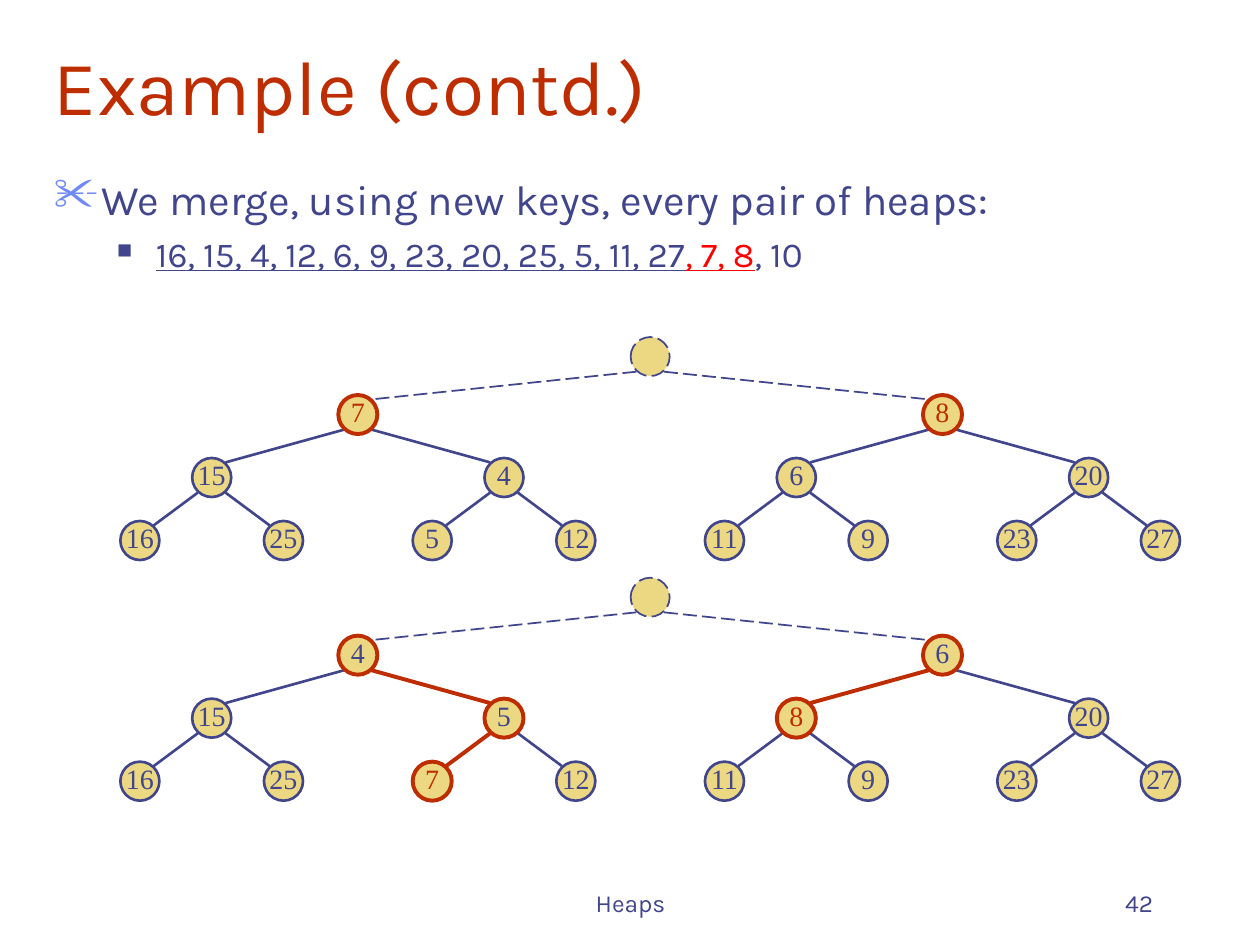
import pptx
import pptx.util
import pptx.dml.color
import pptx.enum.dml
import pptx.enum.shapes
import pptx.enum.text
import pptx.oxml
import pptx.oxml.ns
from lxml import etree
from pptx.util import Inches, Pt

NAVY, RUST, RED, SAND = "40458C", "BE2D00", "FF0000", "ECD882"
ALIGN = pptx.enum.text.PP_ALIGN
ANCHOR = pptx.enum.text.MSO_ANCHOR
qn = pptx.oxml.ns.qn


def rgb(color):
    return pptx.dml.color.RGBColor.from_string(color)


def add_run(paragraph, text, size, color, font="Karla", underline=None):
    run = paragraph.add_run()
    run.text = text
    run.font.size = Pt(size)
    run.font.name = font
    run.font.color.rgb = rgb(color)
    run.font.underline = underline


deck = pptx.Presentation()
deck.slide_width, deck.slide_height = Inches(10), Inches(7.5)
slide = deck.slides.add_slide(deck.slide_layouts[6])

# Title, footer and page number
for left, top, width, height, text, size, color, align in (
    (0.33, 0.17, 9.5, 0.92, "Example (contd.)", 44, RUST, ALIGN.LEFT),
    (3.42, 6.83, 3.17, 0.5, "Heaps", 14, NAVY, ALIGN.CENTER),
    (7.17, 6.83, 2.08, 0.5, "42", 14, NAVY, ALIGN.RIGHT),
):
    frame = slide.shapes.add_textbox(
        Inches(left), Inches(top), Inches(width), Inches(height)).text_frame
    frame.word_wrap = True
    frame.vertical_anchor = ANCHOR.BOTTOM
    frame.paragraphs[0].alignment = align
    add_run(frame.paragraphs[0], text, size, color)

# Two heaps in array order: the children of node i are 2i and 2i + 1
ROOT_X, RADIUS = 5.16, 0.155
LEVEL_DROPS = (0, 0.46, 0.96, 1.46)
CHILD_OFFSETS = (2.32, 1.16, 0.57)
EDGE_DX, EDGE_DY = 0.11, 0.12
NEW_KEYS = (7, 8)

for root_y, keys, marked in (
    (2.83, ("", 7, 8, 15, 4, 6, 20, 16, 25, 5, 12, 11, 9, 23, 27), {2, 3}),
    (4.74, ("", 4, 6, 15, 5, 8, 20, 16, 25, 7, 12, 11, 9, 23, 27), {2, 3, 5, 6, 10}),
):
    centers = {1: (ROOT_X, root_y)}
    for child in range(2, len(keys) + 1):
        parent = child // 2
        side = 1 if child % 2 else -1
        level = child.bit_length() - 1
        parent_x, parent_y = centers[parent]
        x = parent_x + side * CHILD_OFFSETS[level - 1]
        y = root_y + LEVEL_DROPS[level]
        centers[child] = (x, y)

        edge = slide.shapes.add_connector(
            pptx.enum.shapes.MSO_CONNECTOR.STRAIGHT,
            Inches(parent_x + side * EDGE_DX), Inches(parent_y + EDGE_DY),
            Inches(x - side * EDGE_DX), Inches(y - EDGE_DY))
        on_path = parent in marked and child in marked
        edge.line.color.rgb = rgb(RUST if on_path else NAVY)
        edge.line.width = Pt(2.25 if on_path else 1.5)
        if parent == 1:
            edge.line.width = Pt(1)
            edge.line.dash_style = pptx.enum.dml.MSO_LINE.LONG_DASH
        etree.SubElement(edge._element.spPr, qn("a:effectLst"))

    for index, key in enumerate(keys, start=1):
        x, y = centers[index]
        node = slide.shapes.add_shape(
            pptx.enum.shapes.MSO_SHAPE.OVAL, Inches(x - RADIUS), Inches(y - RADIUS),
            Inches(2 * RADIUS), Inches(2 * RADIUS))
        node.shadow.inherit = False
        node.fill.solid()
        node.fill.fore_color.rgb = rgb(SAND)
        node.line.color.rgb = rgb(RUST if index in marked else NAVY)
        node.line.width = Pt(2.25 if index in marked else 1.5)
        if index == 1:
            node.line.width = Pt(1)
            node.line.dash_style = pptx.enum.dml.MSO_LINE.LONG_DASH
            continue
        frame = node.text_frame
        frame.word_wrap = False
        frame.vertical_anchor = ANCHOR.MIDDLE
        frame.margin_left = frame.margin_right = frame.margin_top = 0
        frame.margin_bottom = Inches(0.05)
        frame.paragraphs[0].alignment = ALIGN.CENTER
        add_run(frame.paragraphs[0], str(key), 16,
                RUST if key in NEW_KEYS else NAVY, "Times New Roman")

# Bulleted explanation
body = slide.shapes.add_textbox(
    Inches(0.33), Inches(1.33), Inches(9.5), Inches(5.25)).text_frame
body.word_wrap = True
statement, key_list = body.paragraphs[0], body.add_paragraph()
key_list.level = 1
add_run(statement, "We merge, using new keys, every pair of heaps:", 24, NAVY)
add_run(key_list, "16, 15, 4, 12, 6, 9, 23, 20, 25, 5, 11, 27", 20, NAVY, underline=True)
add_run(key_list, ", 7, 8", 20, RED, underline=True)
add_run(key_list, ", 10", 20, NAVY)

for paragraph, margin, hanging, before, bullet, color, percent in (
    (statement, 0.38, 0.38, 6, "✂", "6F89F7", 110),
    (key_list, 0.81, 0.31, 5, "■", NAVY, 60),
):
    paragraph.space_before = Pt(before)
    properties = paragraph._p.get_or_add_pPr()
    properties.set("marL", str(Inches(margin)))
    properties.set("indent", str(-Inches(hanging)))
    bullet_color = etree.SubElement(properties, qn("a:buClr"))
    etree.SubElement(bullet_color, qn("a:srgbClr"), val=color)
    etree.SubElement(properties, qn("a:buSzPct"), val=str(percent * 1000))
    etree.SubElement(properties, qn("a:buChar"), char=bullet)

deck.save("out.pptx")
